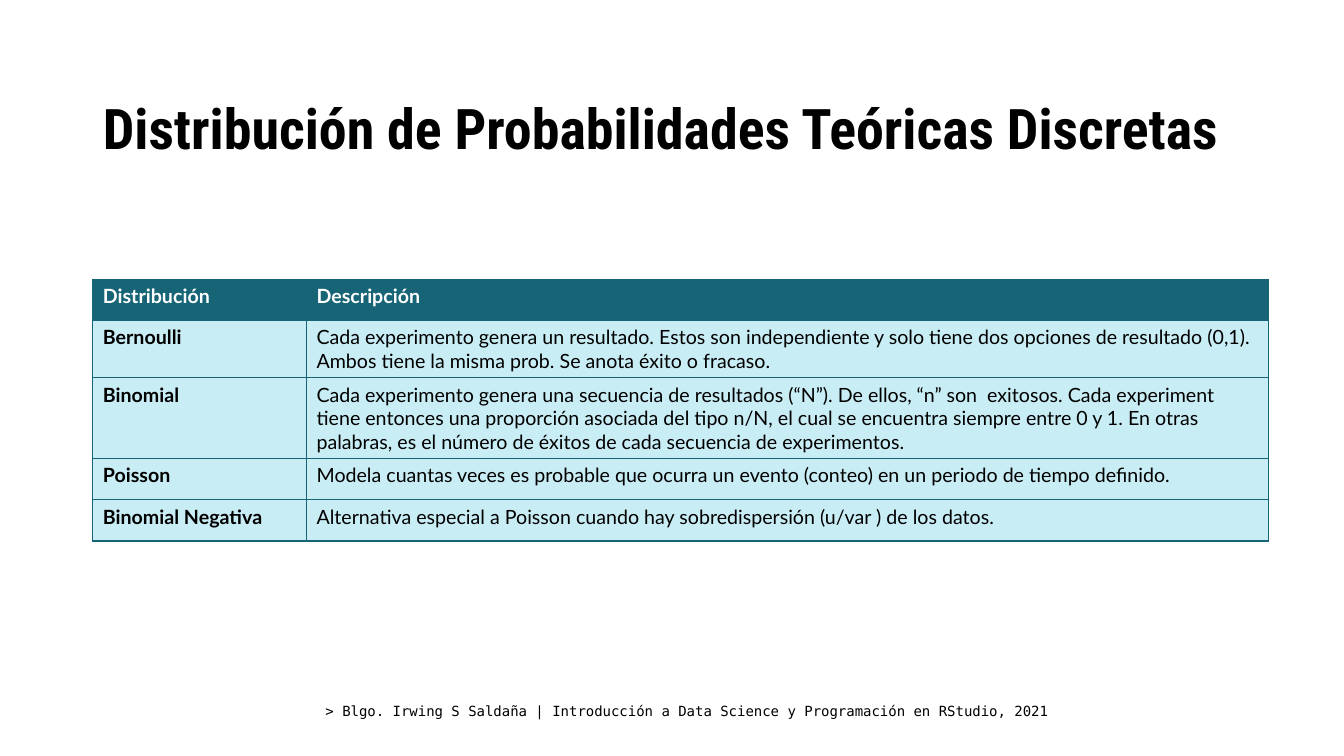
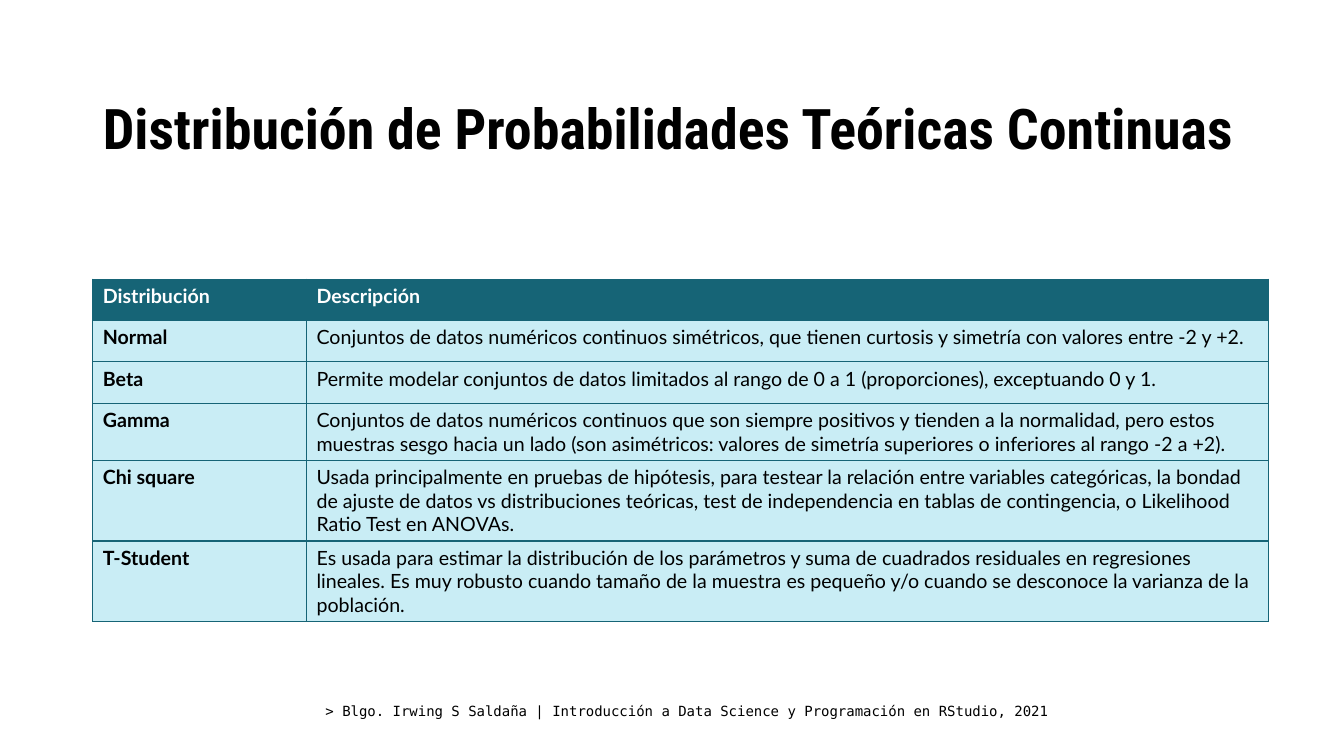
from dataclasses import dataclass

from lxml.etree import SubElement
from pptx import Presentation
from pptx.dml.color import RGBColor
from pptx.enum.text import MSO_ANCHOR, MSO_AUTO_SIZE, PP_ALIGN
from pptx.oxml.ns import qn
from pptx.util import Inches, Pt

# Content
FOOTER = "> Blgo. Irwing S Saldaña | Introducción a Data Science y Programación en RStudio, 2021"
HEADER = ("Distribución", "Descripción")
SLIDES = [
    {
        "title": "Distribución de Probabilidades Teóricas Discretas",
        "width": 11.5,
        "rows": [
            ("Bernoulli", "Cada experimento genera un resultado. Estos son independiente y solo tiene "
             "dos opciones de resultado (0,1). Ambos tiene la misma prob. Se anota éxito o fracaso."),
            ("Binomial", "Cada experimento genera una secuencia de resultados (“N”). De ellos, “n” son  "
             "exitosos. Cada experiment tiene entonces una proporción asociada del tipo n/N, el cual se "
             "encuentra siempre entre 0 y 1. En otras palabras, es el número de éxitos de cada secuencia "
             "de experimentos."),
            ("Poisson", "Modela cuantas veces es probable que ocurra un evento (conteo) en un periodo "
             "de tiempo definido."),
            ("Binomial Negativa", "Alternativa especial a Poisson cuando hay sobredispersión (u/var ) "
             "de los datos."),
        ],
    },
    {
        "title": "Distribución de Probabilidades Teóricas Continuas",
        "width": 11.84,
        "rows": [
            ("Normal", "Conjuntos de datos numéricos continuos simétricos, que tienen curtosis y "
             "simetría con valores entre -2 y +2."),
            ("Beta", "Permite modelar conjuntos de datos limitados al rango de 0 a 1 (proporciones), "
             "exceptuando 0 y 1."),
            ("Gamma", "Conjuntos de datos numéricos continuos que son siempre positivos y tienden a la "
             "normalidad, pero estos muestras sesgo hacia un lado (son asimétricos: valores de simetría "
             "superiores o inferiores al rango -2 a +2)."),
            ("Chi square", "Usada principalmente en pruebas de hipótesis, para testear la relación entre "
             "variables categóricas, la bondad de ajuste de datos vs distribuciones teóricas, test de "
             "independencia en tablas de contingencia, o Likelihood Ratio Test en ANOVAs."),
            ("T-Student", "Es usada para estimar la distribución de los parámetros y suma de cuadrados "
             "residuales en regresiones lineales. Es muy robusto cuando tamaño de la muestra es pequeño "
             "y/o cuando se desconoce la varianza de la población."),
        ],
    },
]


@dataclass(frozen=True)
class Theme:
    ink: str = "000000"
    paper: str = "FFFFFF"
    teal: str = "166476"
    pale: str = "C9EDF5"
    head: tuple = ("Roboto Condensed", 40)
    body: tuple = ("Lato", 14)
    foot: tuple = ("DejaVu Sans Mono", 10)
    rule: float = 1


THEME = Theme()
LEFT = 0.92
COLS = (2.12, 9.54)
ROW = 0.41


def style(para, face, color, bold=False):
    font = para.font
    font.name, font.size = face[0], Pt(face[1])
    font.bold = bold
    font.color.rgb = RGBColor.from_string(color)


def place(shape, left, top, width, height):
    shape.left, shape.top = Inches(left), Inches(top)
    shape.width, shape.height = Inches(width), Inches(height)


def add_title(slide, text, width):
    title = slide.shapes.title
    place(title, LEFT, 0.58, width, 1.45)
    frame = title.text_frame
    frame.text = text
    frame.auto_size = MSO_AUTO_SIZE.NONE
    frame.vertical_anchor = MSO_ANCHOR.MIDDLE
    para = frame.paragraphs[0]
    para.alignment = PP_ALIGN.LEFT
    para.line_spacing = 0.9
    style(para, THEME.head, THEME.ink, True)


def add_footer(slide):
    box = slide.shapes.add_textbox(Inches(3.13), Inches(6.92), Inches(12.1), Inches(0.27))
    frame = box.text_frame
    frame.word_wrap = True
    frame.text = FOOTER
    style(frame.paragraphs[0], THEME.foot, THEME.ink)


def add_borders(cell):
    props = cell._tc.get_or_add_tcPr()
    for spot, side in enumerate(("lnL", "lnR", "lnT", "lnB")):
        line = SubElement(props, qn(f"a:{side}"), w=str(Pt(THEME.rule)))
        fill = SubElement(line, qn("a:solidFill"))
        SubElement(fill, qn("a:srgbClr"), val=THEME.teal)
        props.insert(spot, line)  # borders come before the cell fill


def add_grid(slide, rows):
    cells = [HEADER, *rows]
    table = slide.shapes.add_table(
        len(cells), len(COLS), Inches(LEFT), Inches(2.77),
        Inches(sum(COLS)), Inches(ROW * len(cells))).table
    table.horz_banding = False
    for col, width in zip(table.columns, COLS):
        col.width = Inches(width)
    for r, texts in enumerate(cells):
        table.rows[r].height = Inches(ROW)
        top = r == 0
        for c, text in enumerate(texts):
            cell = table.cell(r, c)
            cell.text = text
            cell.fill.solid()
            cell.fill.fore_color.rgb = RGBColor.from_string(THEME.teal if top else THEME.pale)
            style(cell.text_frame.paragraphs[0], THEME.body,
                  THEME.paper if top else THEME.ink, top or c == 0)
            add_borders(cell)


def main():
    deck = Presentation()
    deck.slide_width, deck.slide_height = Inches(13.33), Inches(7.5)
    for page in SLIDES:
        slide = deck.slides.add_slide(deck.slide_layouts[5])  # title only
        add_footer(slide)
        add_grid(slide, page["rows"])
        add_title(slide, page["title"], page["width"])
    deck.save("out.pptx")


if __name__ == "__main__":
    main()
